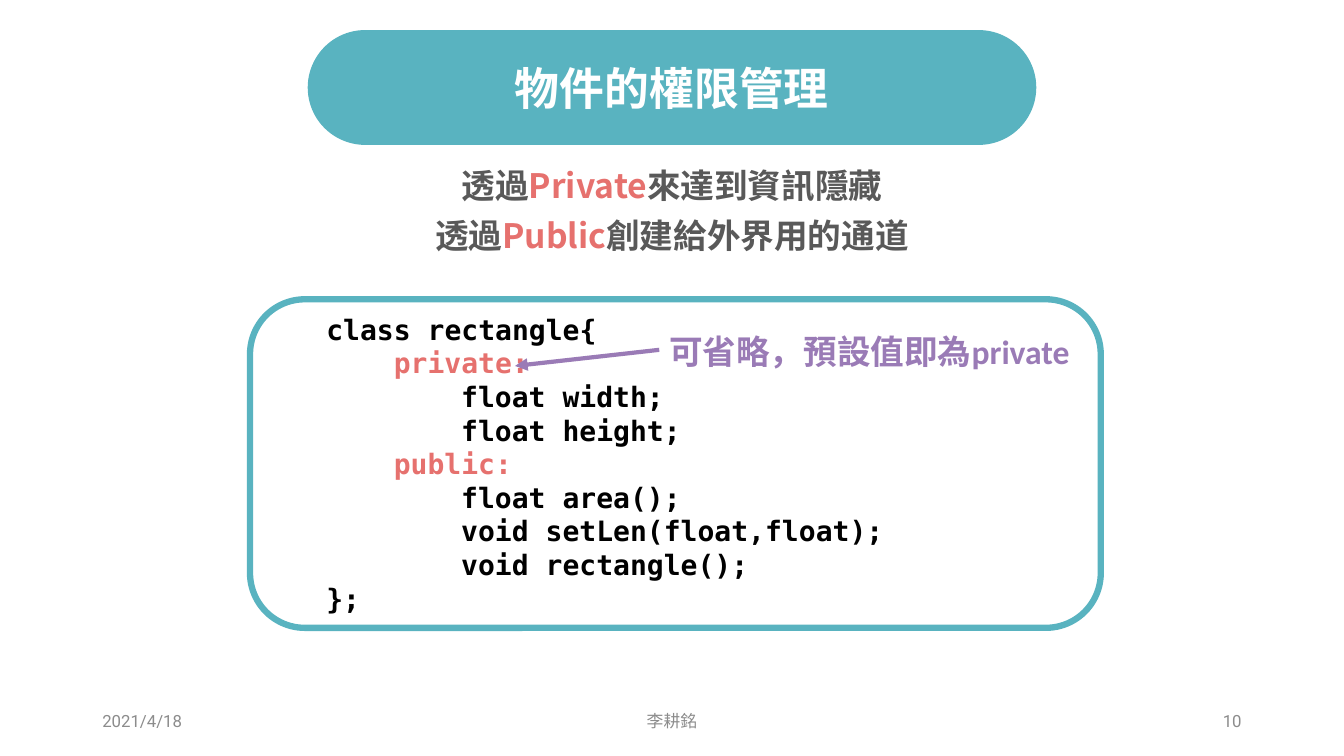
from pptx import Presentation
from pptx.dml.color import RGBColor
from pptx.enum.shapes import MSO_CONNECTOR, MSO_SHAPE
from pptx.enum.text import MSO_ANCHOR, PP_ALIGN
from pptx.oxml.ns import qn
from pptx.util import Pt
from lxml import etree

ROUNDED = MSO_SHAPE.ROUNDED_RECTANGLE
STRAIGHT = MSO_CONNECTOR.STRAIGHT
TOP, MIDDLE = MSO_ANCHOR.TOP, MSO_ANCHOR.MIDDLE
LEFT, CENTER, RIGHT = PP_ALIGN.LEFT, PP_ALIGN.CENTER, PP_ALIGN.RIGHT

COLORS = {
    "teal": "59B3C0",
    "white": "FFFFFF",
    "body": "595959",
    "footer": "8C8C8C",
    "coral": "E6716E",
    "code": "000000",
    "purple": "9A7BB6",
}
CJK_FONT = "Noto Sans CJK TC"
CODE_FONT = "DejaVu Sans Mono"
CODE_INDENT = 48.16

MESSAGES = [
    ("透過", "Private", "來達到資訊隱藏"),
    ("透過", "Public", "創建給外界用的通道"),
]
CODE = [
    (0, "class rectangle{"),
    (1, "private:"),
    (2, "float width;"),
    (2, "float height;"),
    (1, "public:"),
    (2, "float area();"),
    (2, "void setLen(float,float);"),
    (2, "void rectangle();"),
    (0, "};"),
]


def color(name):
    return RGBColor.from_string(COLORS[name])


def style_run(r, size, font, fill, bold=True):
    r.font.size = Pt(size)
    r.font.name = font
    r.font.bold = bold
    r.font.color.rgb = color(fill)
    latin = r.font._element.find(qn("a:latin"))
    ea = etree.Element(qn("a:ea"), typeface=CJK_FONT)
    latin.addnext(ea)


def add_rounded(s, box, radius, fill, line=None):
    sp = s.shapes.add_shape(ROUNDED, *map(Pt, box))
    sp.adjustments[0] = radius
    sp.shadow.inherit = False
    sp.fill.solid()
    sp.fill.fore_color.rgb = color(fill)
    if line:
        sp.line.color.rgb = color(line)
        sp.line.width = Pt(4.5)
    else:
        sp.line.fill.background()
    sp.text_frame.vertical_anchor = MIDDLE
    return sp


def add_text_box(s, box, anchor=TOP):
    tf = s.shapes.add_textbox(*map(Pt, box)).text_frame
    tf.word_wrap = True
    tf.vertical_anchor = anchor
    return tf


def add_title(s, box):
    tf = add_rounded(s, box, 0.5, "teal").text_frame
    tf.text = "物件的權限管理"
    p = tf.paragraphs[0]
    p.alignment = CENTER
    style_run(p.runs[0], 32, "Calibri", "white")


def add_messages(s, box):
    tf = add_text_box(s, box)
    for i, parts in enumerate(MESSAGES):
        p = tf.add_paragraph() if i else tf.paragraphs[0]
        p.alignment = CENTER
        p.line_spacing = 0.9
        p.space_before = Pt(10)
        for part, fill in zip(parts, ("body", "coral", "body")):
            r = p.add_run()
            r.text = part
            style_run(r, 24, CJK_FONT, fill)


def add_code(s, box):
    tf = add_rounded(s, box, 0.16667, "white", "teal").text_frame
    tf.text = "\n".join(text for _, text in CODE)
    for p, (level, _) in zip(tf.paragraphs, CODE):
        p.alignment = LEFT
        pPr = p._p.get_or_add_pPr()
        pPr.set("marL", str(Pt(36 + level * CODE_INDENT)))
        pPr.set("indent", "0")
        style_run(p.runs[0], 20, CODE_FONT, "coral" if level == 1 else "code")


def add_callout(s, box):
    left, top, width, height = box
    tf = add_text_box(s, box)
    tf.text = "可省略，預設值即為private"
    style_run(tf.paragraphs[0].runs[0], 24, "Calibri", "purple")
    arrow = s.shapes.add_connector(
        STRAIGHT, Pt(left), Pt(top + 17.3), Pt(left - 103), Pt(top + 28.8))
    arrow.line.color.rgb = color("purple")
    arrow.line.width = Pt(3)
    ln = arrow.line._get_or_add_ln()
    etree.SubElement(ln, qn("a:tailEnd"), type="triangle")
    etree.SubElement(arrow._element.spPr, qn("a:effectLst"))


def add_footer(s, box):
    left, top, width, height = box
    parts = [
        ("2021/4/18", left, 216, LEFT),
        ("李耕銘", left + (width - 324) / 2, 324, CENTER),
        ("10", left + width - 216, 216, RIGHT),
    ]
    for text, x, w, align in parts:
        tf = add_text_box(s, (x, top, w, height), MIDDLE)
        tf.text = text
        p = tf.paragraphs[0]
        p.alignment = align
        style_run(p.runs[0], 12, "Roboto", "footer", False)


def main():
    prs = Presentation()
    prs.slide_width, prs.slide_height = Pt(960), Pt(540)
    s = prs.slides.add_slide(prs.slide_layouts[6])
    add_title(s, (219.8, 21.5, 520.4, 82))
    add_messages(s, (241.2, 117.4, 477.6, 91.4))
    add_footer(s, (66, 500.5, 828, 28.8))
    add_code(s, (178.6, 213.8, 607.7, 234.7))
    add_callout(s, (470.9, 232.6, 301.7, 36))
    prs.save("out.pptx")


if __name__ == "__main__":
    main()
